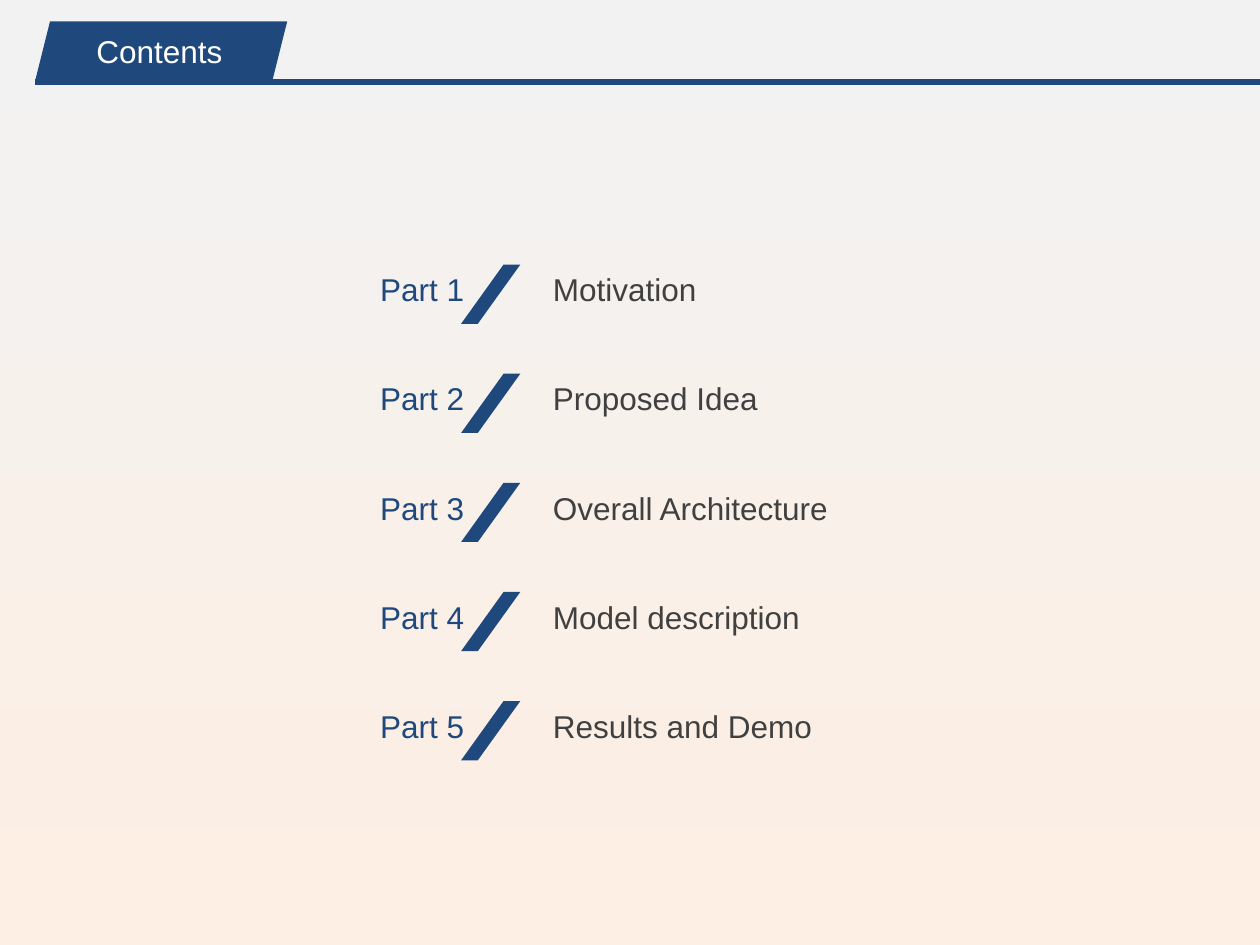
from lxml.etree import SubElement
from pptx import Presentation
from pptx.dml.color import RGBColor
from pptx.enum.shapes import MSO_CONNECTOR, MSO_SHAPE
from pptx.enum.text import MSO_ANCHOR, PP_ALIGN
from pptx.oxml.ns import qn
from pptx.util import Inches, Pt

NAVY, GREY, WHITE = "1F497D", "404040", "FFFFFF"
PARTS = ["Motivation", "Proposed Idea", "Overall Architecture",
         "Model description", "Results and Demo"]
FIRST_TOP, ROW_STEP = 2.02, 0.866


def color(hex_code):
    return RGBColor.from_string(hex_code)


def write(frame, text, ink=GREY, size=18, font="Arial", align=PP_ALIGN.LEFT):
    para = frame.paragraphs[0]
    para.alignment = align
    span = para.add_run()
    span.text = text
    span.font.name = font
    span.font.size = Pt(size)
    span.font.color.rgb = color(ink)


class ContentsPage:
    def __init__(self, page, accent=NAVY, text_height=0.55):
        self.page = page
        self.accent = accent
        self.text_height = text_height

    def background(self, top, bottom):
        fill = self.page.background.fill
        fill.gradient()
        fill.gradient_angle = 270
        for stop, hex_code in zip(fill.gradient_stops, (top, bottom)):
            stop.color.rgb = color(hex_code)

    def parallelogram(self, left, top, width, height, slant=0.25):
        shape = self.page.shapes.add_shape(
            MSO_SHAPE.PARALLELOGRAM, Inches(left), Inches(top), Inches(width), Inches(height))
        shape.adjustments[0] = slant
        shape.shadow.inherit = False
        shape.fill.solid()
        shape.fill.fore_color.rgb = color(self.accent)
        shape.line.fill.background()

    def text(self, left, top, width, text, **style):
        box = self.page.shapes.add_textbox(
            Inches(left), Inches(top), Inches(width), Inches(self.text_height))
        box.text_frame.word_wrap = True
        box.text_frame.vertical_anchor = MSO_ANCHOR.MIDDLE
        write(box.text_frame, text, **style)

    def rule(self, start, end, y, weight):
        line = self.page.shapes.add_connector(
            MSO_CONNECTOR.STRAIGHT, Inches(start), Inches(y), Inches(end), Inches(y))
        line.line.color.rgb = color(self.accent)
        line.line.width = Pt(weight)
        SubElement(line._element.spPr, qn("a:effectLst"))


def main():
    deck = Presentation()
    deck.slide_width, deck.slide_height = Inches(10), Inches(7.5)
    contents = ContentsPage(deck.slides.add_slide(deck.slide_layouts[6]))
    contents.background("F2F2F2", "FDEFE3")

    # Title tab and rule
    contents.parallelogram(0.28, 0.17, 2, 0.47)
    contents.text(0.26, 0.13, 2.01, "Contents", ink=WHITE, align=PP_ALIGN.CENTER)
    contents.rule(10, 0.28, 0.65, 3)

    # One row per part
    for index, title in enumerate(PARTS):
        top = FIRST_TOP + index * ROW_STEP
        contents.parallelogram(3.66, top + 0.08, 0.47, 0.47, slant=0.717)
        contents.text(4.29, top, 3.15, title)
        contents.text(2.64, top, 1.42, f"Part {index + 1}", ink=NAVY, align=PP_ALIGN.CENTER)

    deck.save("out.pptx")


if __name__ == "__main__":
    main()
